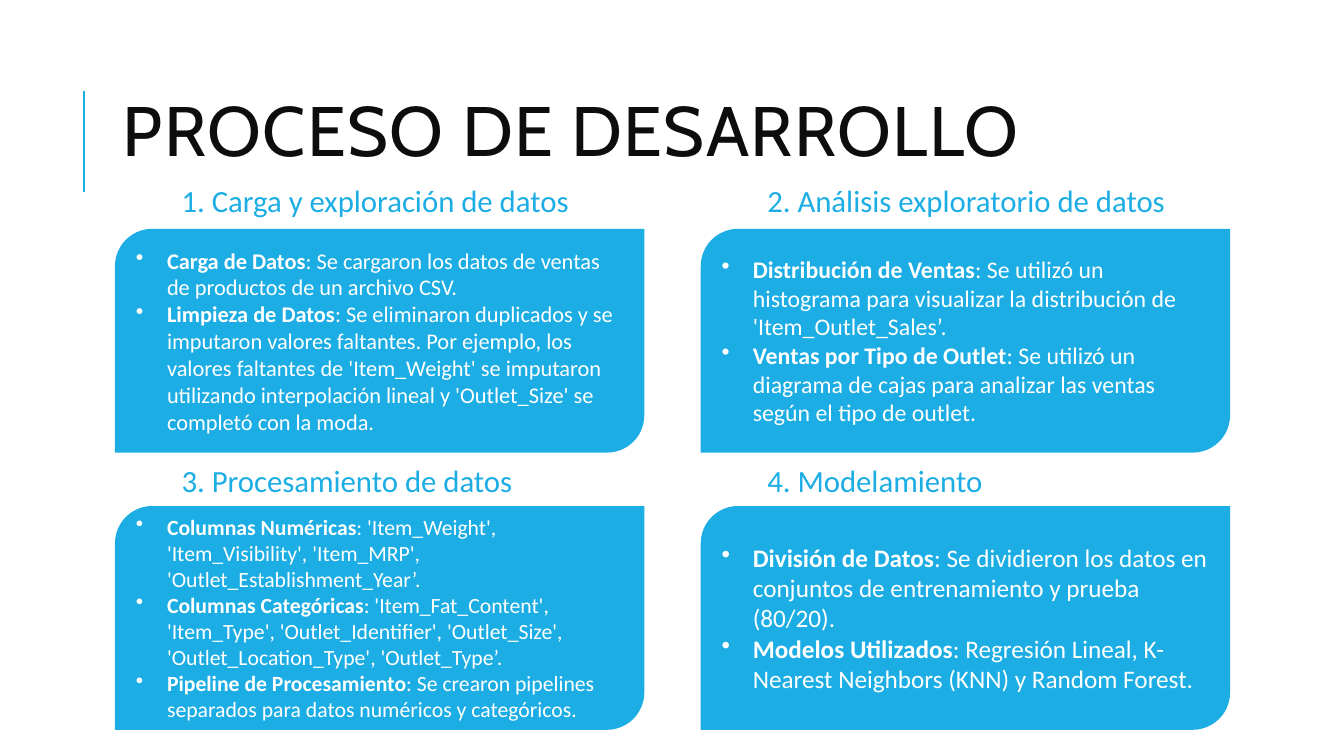
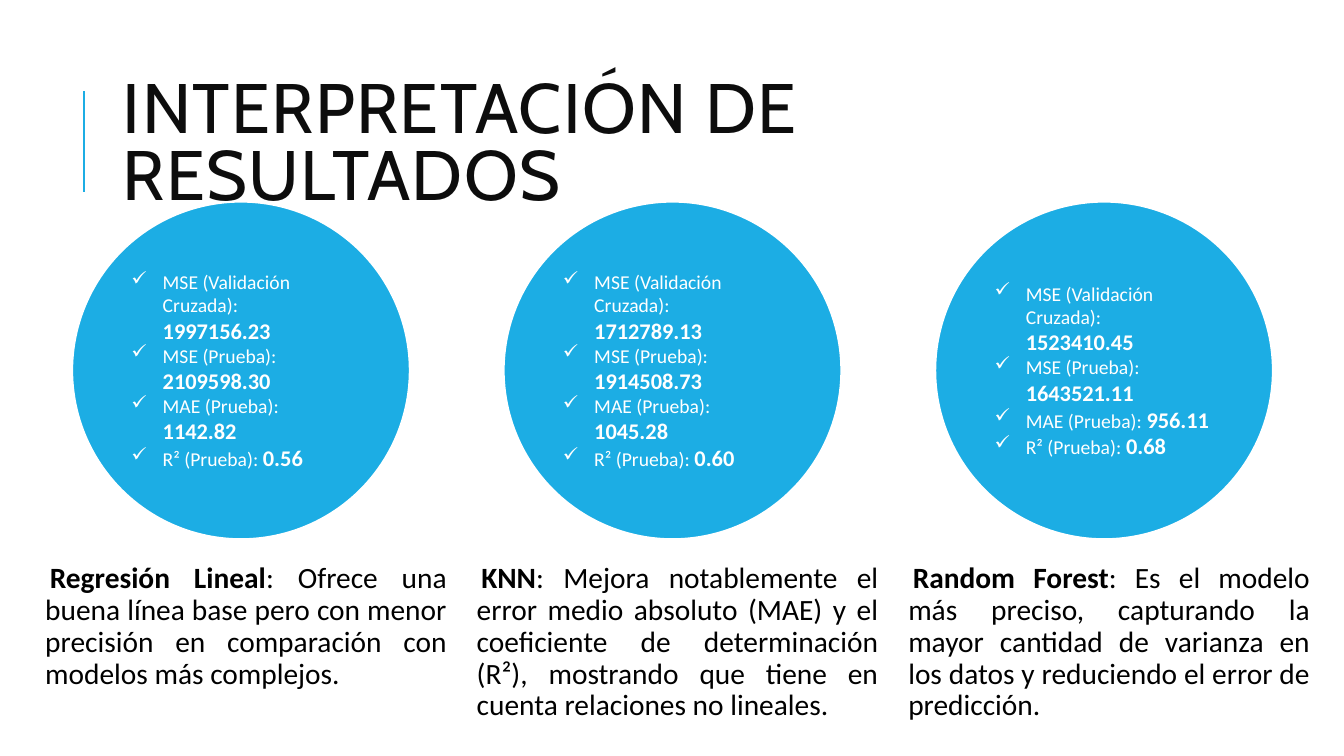
from dataclasses import dataclass
from typing import NamedTuple

from lxml.etree import SubElement
from pptx import Presentation
from pptx.dml.color import RGBColor
from pptx.enum.shapes import MSO_CONNECTOR, MSO_SHAPE
from pptx.enum.text import MSO_ANCHOR, PP_ALIGN
from pptx.oxml.ns import qn
from pptx.shapes.autoshape import Shape
from pptx.slide import Slide
from pptx.text.text import TextFrame, _Paragraph as Paragraph
from pptx.util import Inches, Pt


@dataclass(frozen=True)
class Theme:
    accent: RGBColor = RGBColor(0x1C, 0xAD, 0xE4)
    title_ink: RGBColor = RGBColor(0x0D, 0x0D, 0x0D)
    ink: RGBColor = RGBColor(0, 0, 0)
    paper: RGBColor = RGBColor(0xFF, 0xFF, 0xFF)
    title_font: str = "Cabin"
    body_font: str = "Calibri"
    title_size: float = 50
    heading_size: float = 22
    caption_size: float = 21
    label_size: float = 14
    value_size: float = 16
    rule_width: float = 1.5


THEME = Theme()


class Span(NamedTuple):
    text: str
    size: float
    color: RGBColor
    bold: bool = False
    font: str = THEME.body_font


class Point(NamedTuple):
    term: str
    detail: str


@dataclass(frozen=True)
class Stage:
    heading: str
    size: float
    points: list[Point]


@dataclass(frozen=True)
class Model:
    name: str
    verdict: str
    scores: list[str]


STAGES = [
    Stage("1. Carga y exploración de datos", 16, [
        Point("Carga de Datos", ": Se cargaron los datos de ventas de productos de un archivo CSV."),
        Point("Limpieza de Datos", ": Se eliminaron duplicados y se imputaron valores faltantes. "
              "Por ejemplo, los valores faltantes de 'Item_Weight' se imputaron utilizando "
              "interpolación lineal y 'Outlet_Size' se completó con la moda."),
    ]),
    Stage("2. Análisis exploratorio de datos", 17, [
        Point("Distribución de Ventas", ": Se utilizó un histograma para visualizar la "
              "distribución de 'Item_Outlet_Sales’."),
        Point("Ventas por Tipo de Outlet", ": Se utilizó un diagrama de cajas para analizar "
              "las ventas según el tipo de outlet."),
    ]),
    Stage("3. Procesamiento de datos", 15.5, [
        Point("Columnas Numéricas", ": 'Item_Weight', 'Item_Visibility', 'Item_MRP', "
              "'Outlet_Establishment_Year’."),
        Point("Columnas Categóricas", ": 'Item_Fat_Content', 'Item_Type', 'Outlet_Identifier', "
              "'Outlet_Size', 'Outlet_Location_Type', 'Outlet_Type’."),
        Point("Pipeline de Procesamiento", ": Se crearon pipelines separados para datos "
              "numéricos y categóricos."),
    ]),
    Stage("4. Modelamiento", 18, [
        Point("División de Datos", ": Se dividieron los datos en conjuntos de entrenamiento "
              "y prueba (80/20)."),
        Point("Modelos Utilizados", ": Regresión Lineal, K-Nearest Neighbors (KNN) y Random Forest."),
    ]),
]

METRICS = ["MSE (Validación Cruzada): ", "MSE (Prueba): ", "MAE (Prueba): ", "R² (Prueba): "]
MODELS = [
    Model("Regresión Lineal", ": Ofrece una buena línea base pero con menor precisión en "
          "comparación con modelos más complejos.",
          ["1997156.23", "2109598.30", "1142.82", "0.56"]),
    Model("KNN", ": Mejora notablemente el error medio absoluto (MAE) y el coeficiente de "
          "determinación (R²), mostrando que tiene en cuenta relaciones no lineales.",
          ["1712789.13", "1914508.73", "1045.28", "0.60"]),
    Model("Random Forest", ": Es el modelo más preciso, capturando la mayor cantidad de "
          "varianza en los datos y reduciendo el error de predicción.",
          ["1523410.45", "1643521.11", "956.11", "0.68"]),
]


# Text helpers
def write_spans(paragraph: Paragraph, spans: list[Span]) -> None:
    for span in spans:
        run = paragraph.add_run()
        run.text = span.text
        run.font.name = span.font
        run.font.size = Pt(span.size)
        run.font.bold = span.bold
        run.font.color.rgb = span.color


def set_bullet(paragraph: Paragraph, mark: str, indent: float) -> None:
    props = paragraph._p.get_or_add_pPr()
    props.set("marL", str(Inches(indent)))
    props.set("indent", str(-Inches(indent)))
    SubElement(props, qn("a:buChar")).set("char", mark)


def write_list(frame: TextFrame, mark: str, items: list[list[Span]]) -> None:
    for index, spans in enumerate(items):
        paragraph = frame.add_paragraph() if index else frame.paragraphs[0]
        paragraph.alignment = PP_ALIGN.LEFT
        set_bullet(paragraph, mark, 0.31)
        write_spans(paragraph, spans)


def add_text(slide: Slide, left: float, top: float, width: float, height: float) -> TextFrame:
    frame = slide.shapes.add_textbox(
        Inches(left), Inches(top), Inches(width), Inches(height)).text_frame
    frame.word_wrap = True
    return frame


def add_body_text(slide: Slide, left: float, top: float, width: float, height: float,
                  spans: list[Span], align: PP_ALIGN = PP_ALIGN.LEFT) -> None:
    paragraph = add_text(slide, left, top, width, height).paragraphs[0]
    paragraph.alignment = align
    paragraph.line_spacing = 0.9
    paragraph.space_before = Pt(12)
    paragraph.space_after = Pt(2)
    set_bullet(paragraph, " ", 0.1)
    write_spans(paragraph, spans)


# Shared slide parts
def add_panel(slide: Slide, kind: MSO_SHAPE, left: float, top: float,
              width: float, height: float) -> Shape:
    panel = slide.shapes.add_shape(
        kind, Inches(left), Inches(top), Inches(width), Inches(height))
    panel.shadow.inherit = False
    panel.fill.solid()
    panel.fill.fore_color.rgb = THEME.accent
    panel.line.fill.background()
    panel.text_frame.word_wrap = True
    panel.text_frame.vertical_anchor = MSO_ANCHOR.MIDDLE
    return panel


def add_titled_slide(deck: Presentation, title: str, title_top: float) -> Slide:
    slide = deck.slides.add_slide(deck.slide_layouts[6])
    slide.background.fill.solid()
    slide.background.fill.fore_color.rgb = THEME.paper

    rule = slide.shapes.add_connector(
        MSO_CONNECTOR.STRAIGHT, Inches(0.83), Inches(1.9), Inches(0.83), Inches(0.9))
    rule.line.color.rgb = THEME.accent
    rule.line.width = Pt(THEME.rule_width)
    SubElement(rule._element.spPr, qn("a:effectLst"))

    frame = add_text(slide, 1.12, title_top, 10.63, 1.64)
    frame.vertical_anchor = MSO_ANCHOR.MIDDLE
    paragraph = frame.paragraphs[0]
    paragraph.line_spacing = 0.8
    write_spans(paragraph, [
        Span(title, THEME.title_size, THEME.title_ink, font=THEME.title_font)])
    paragraph.runs[0].font._element.set("spc", "100")
    return slide


# Slide 1: two by two grid of stages
def build_process(deck: Presentation) -> None:
    slide = add_titled_slide(deck, "PROCESO DE DESARROLLO", 0.53)
    for index, stage in enumerate(STAGES):
        row, column = divmod(index, 2)
        shift = 5.81 * column
        panel = add_panel(slide, MSO_SHAPE.ROUND_2_DIAG_RECTANGLE,
                          1.14 + shift, 2.27 + 2.75 * row, 5.25, 2.22)
        write_list(panel.text_frame, "•", [
            [Span(point.term, stage.size, THEME.paper, bold=True),
             Span(point.detail, stage.size, THEME.paper)]
            for point in stage.points])
        add_body_text(slide, 1.55 + shift, 1.8 + 2.77 * row, 4.42, 0.56,
                      [Span(stage.heading, THEME.heading_size, THEME.accent)])


# Slide 2: one column per model, circle centred over its verdict
def build_results(deck: Presentation) -> None:
    slide = add_titled_slide(deck, "INTERPRETACIÓN DE RESULTADOS", 0.64)
    column_width, diameter = 4.28, 3.35
    for index, model in enumerate(MODELS):
        left = 0.25 + column_width * index
        add_body_text(slide, left, 5.54, column_width, 1.73,
                      [Span(model.name, THEME.caption_size, THEME.ink, bold=True),
                       Span(model.verdict, THEME.caption_size, THEME.ink)],
                      PP_ALIGN.JUSTIFY)
        circle = add_panel(slide, MSO_SHAPE.OVAL, left + (column_width - diameter) / 2, 2,
                           diameter, diameter)
        circle.line.color.rgb = THEME.paper
        circle.line.width = Pt(THEME.rule_width)
        write_list(circle.text_frame, "✓", [
            [Span(metric, THEME.label_size, THEME.paper),
             Span(score, THEME.value_size, THEME.paper, bold=True)]
            for metric, score in zip(METRICS, model.scores)])


def main() -> None:
    deck = Presentation()
    deck.slide_width, deck.slide_height = Inches(13.33), Inches(7.5)
    build_process(deck)
    build_results(deck)
    deck.save("out.pptx")


if __name__ == "__main__":
    main()
